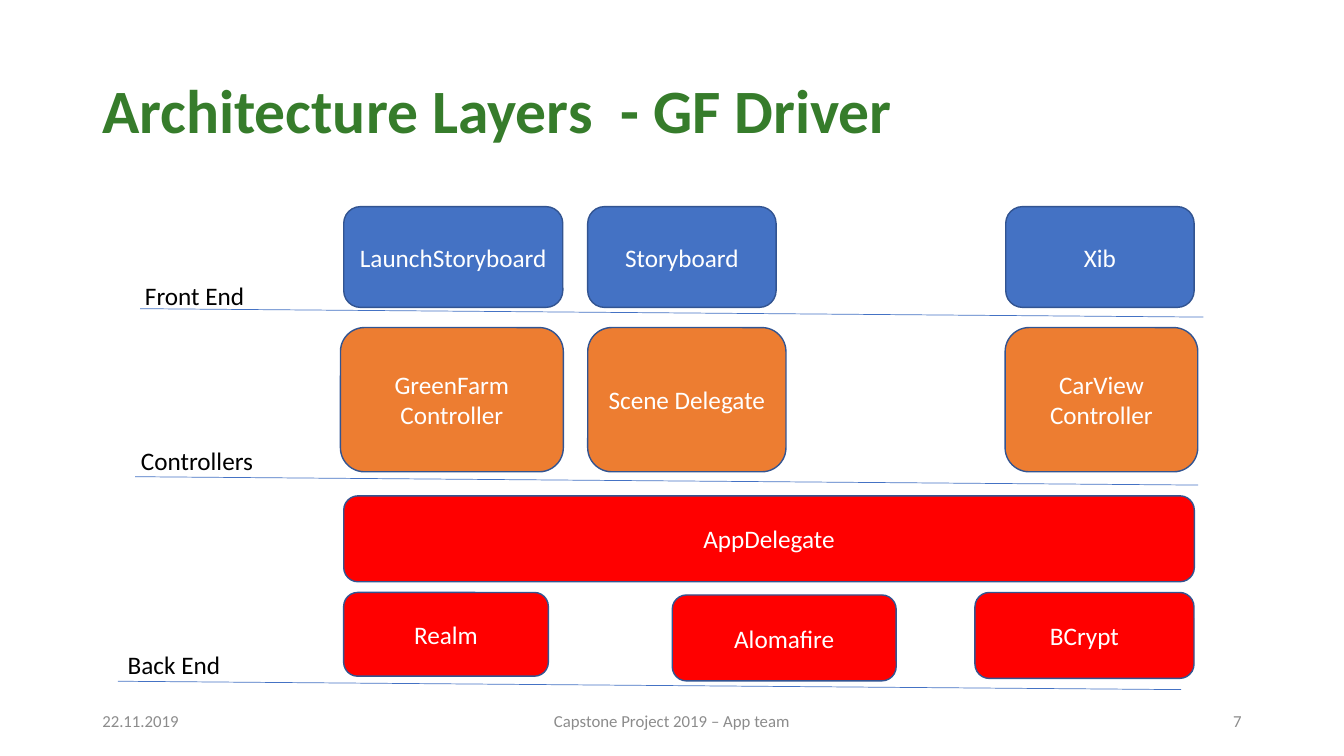
import pptx
import pptx.dml.color
import pptx.enum.shapes
import pptx.enum.text
import pptx.oxml.ns
import pptx.util
from lxml import etree

Pt = pptx.util.Pt
RGBColor = pptx.dml.color.RGBColor
ALIGN = pptx.enum.text.PP_ALIGN
ANCHOR = pptx.enum.text.MSO_ANCHOR

FONT = "Calibri"
GREEN = RGBColor(0x36, 0x7C, 0x2B)
GRAY = RGBColor(0x8C, 0x8C, 0x8C)
BLACK = RGBColor(0, 0, 0)
WHITE = RGBColor(0xFF, 0xFF, 0xFF)
BLUE = RGBColor(0x44, 0x72, 0xC4)
DARK_BLUE = RGBColor(0x32, 0x54, 0x91)
ORANGE = RGBColor(0xED, 0x7D, 0x31)
RED = RGBColor(0xFF, 0, 0)

# Each layer: label, label position, start of its divider, fill, boxes.
# Each box: text, left, top, width, height.
LAYERS = [
    ("Front End", (96.5, 196.6), (100.1, 220.5), BLUE, [
        ("LaunchStoryboard", 245.5, 147.6, 156.5, 72),
        ("Storyboard", 419.8, 147.6, 134.6, 72),
        ("Xib", 718.4, 147.6, 134.6, 72),
    ]),
    ("Controllers", (93.6, 314.6), (96.5, 340.5), ORANGE, [
        ("GreenFarm Controller", 243.2, 234, 159.2, 103),
        ("Scene Delegate", 419.8, 234, 141.6, 103),
        ("CarView Controller", 718, 234, 137.6, 103),
    ]),
    ("Back End", (84.2, 460.1), (84.2, 486.6), RED, [
        ("AppDelegate", 245.5, 354.2, 607.6, 61.4),
        ("Realm", 245.5, 423.2, 146.2, 59.8),
        ("Alomafire", 480.2, 425, 160, 61.4),
        ("BCrypt", 696.4, 423.2, 156.5, 61.4),
    ]),
]
DIVIDER_WIDTH, DIVIDER_DROP = 759.4, 6

FOOTER = [
    ("22.11.2019", 66, 216, ALIGN.LEFT),
    ("Capstone Project 2019 – App team", 318, 324, ALIGN.CENTER),
    ("7", 678, 216, ALIGN.RIGHT),
]


def write(sp, text, size, color, align=ALIGN.LEFT, anchor=ANCHOR.MIDDLE, bold=False):
    """Put one styled run into a shape and return its paragraph."""
    tf = sp.text_frame
    tf.word_wrap = True
    tf.vertical_anchor = anchor
    p = tf.paragraphs[0]
    p.alignment = align
    r = p.add_run()
    r.text = text
    r.font.name = FONT
    r.font.size = Pt(size)
    r.font.bold = bold
    r.font.color.rgb = color
    return p


def add_text(s, box, *args, **style):
    """Add a text box at left, top, width, height."""
    return write(s.shapes.add_textbox(*map(Pt, box)), *args, **style)


def add_box(s, text, box, fill):
    """Add a rounded component box with centred white text."""
    kind = pptx.enum.shapes.MSO_SHAPE.ROUNDED_RECTANGLE
    sp = s.shapes.add_shape(kind, *map(Pt, box))
    sp.shadow.inherit = False
    sp.fill.solid()
    sp.fill.fore_color.rgb = fill
    sp.line.color.rgb = DARK_BLUE
    sp.line.width = Pt(1)
    write(sp, text, 18, WHITE, ALIGN.CENTER)


def add_divider(s, x, y):
    """Add the slightly sloping line below a layer."""
    kind = pptx.enum.shapes.MSO_CONNECTOR.STRAIGHT
    ends = (x, y, x + DIVIDER_WIDTH, y + DIVIDER_DROP)
    line = s.shapes.add_connector(kind, *map(Pt, ends))
    line.line.color.rgb = BLUE
    line.line.width = Pt(0.5)
    etree.SubElement(line._element.spPr, pptx.oxml.ns.qn("a:effectLst"))


def add_layer(s, label, label_at, divider_at, fill, boxes):
    """Add a layer's divider, label and component boxes."""
    add_divider(s, *divider_at)
    add_text(s, (*label_at, 216, 28.8), label, 18, BLACK, anchor=ANCHOR.TOP)
    for text, *box in boxes:
        add_box(s, text, box, fill)


def main():
    """Build the slide and save it."""
    prs = pptx.Presentation()
    prs.slide_width, prs.slide_height = Pt(960), Pt(540)
    s = prs.slides.add_slide(prs.slide_layouts[6])

    p = add_text(s, (66, 28.8, 828, 104.4), "Architecture Layers\u00a0 - GF Driver\u00a0",
                 44, GREEN, bold=True)
    p.line_spacing = 0.9
    for layer in LAYERS:
        add_layer(s, *layer)
    for text, left, width, align in FOOTER:
        add_text(s, (left, 500.4, width, 28.8), text, 12, GRAY, align)

    prs.save("out.pptx")


main()
